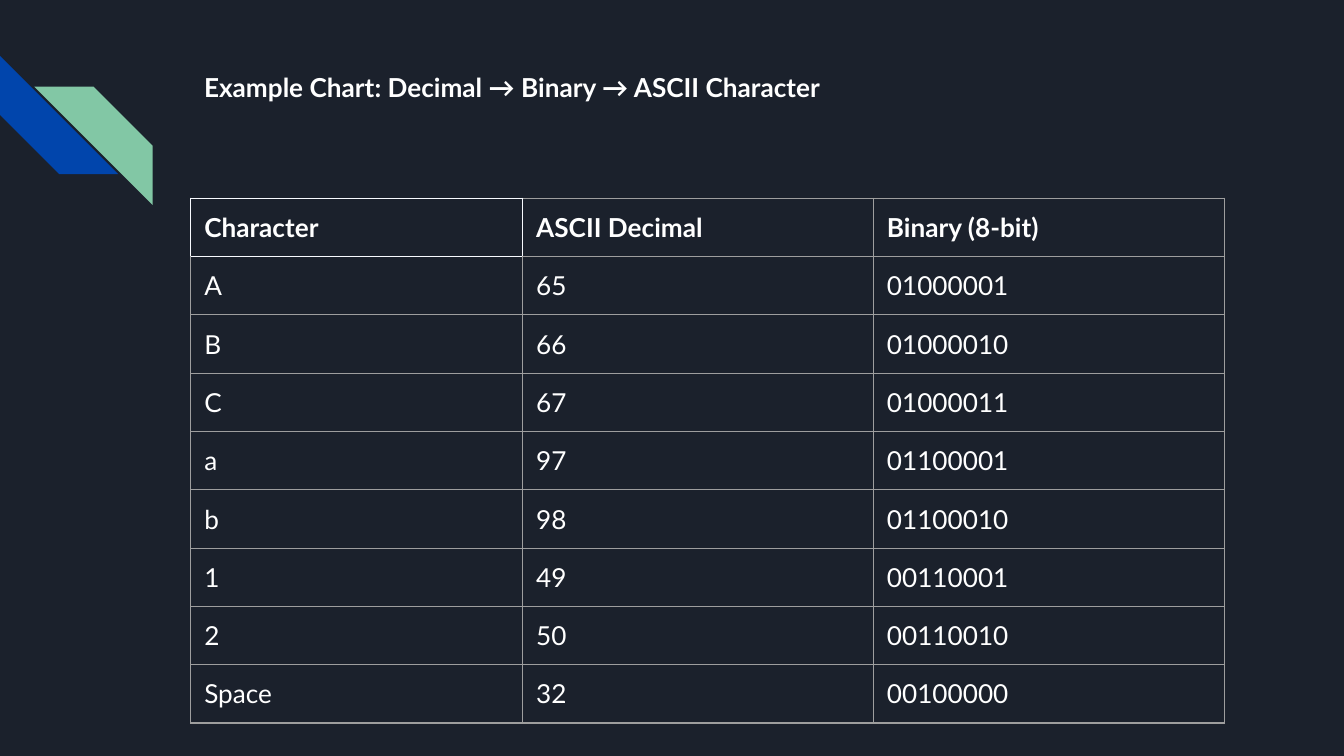
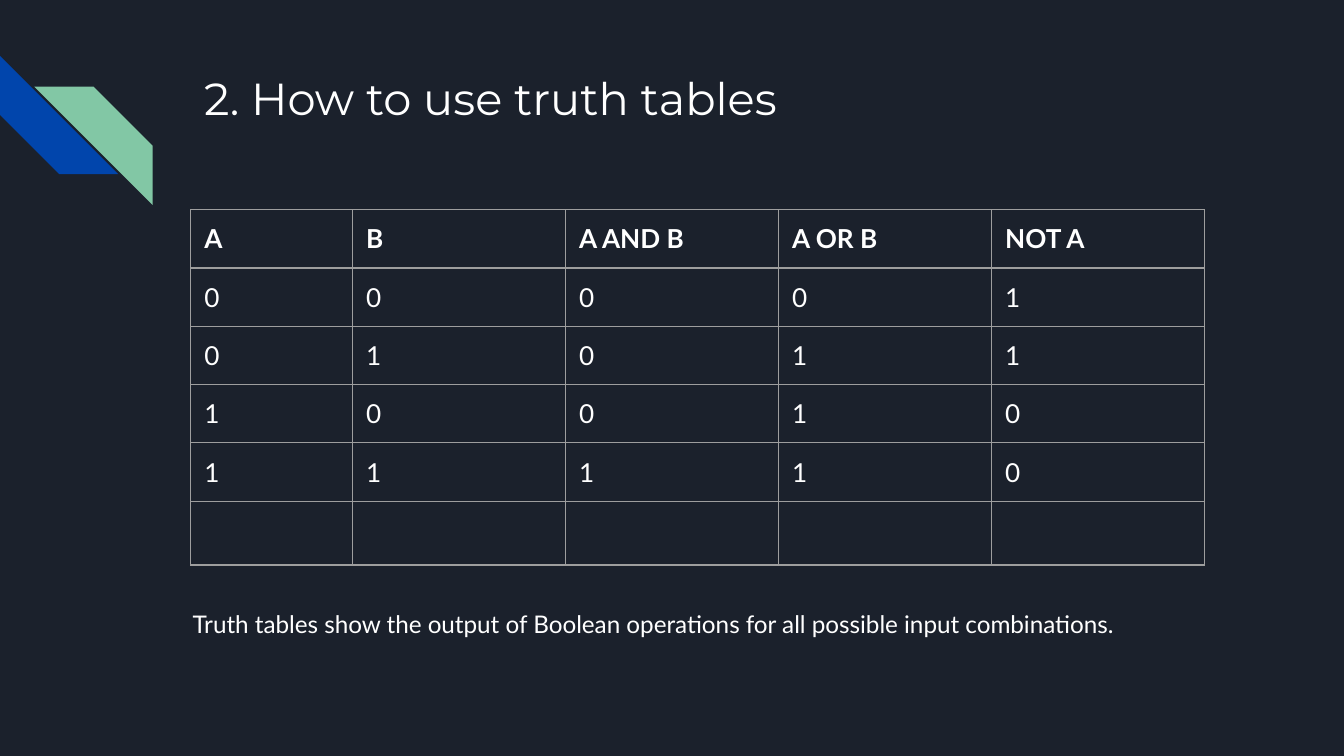
from dataclasses import dataclass

from lxml import etree
from pptx import Presentation
from pptx.dml.color import RGBColor
from pptx.enum.shapes import MSO_SHAPE
from pptx.enum.text import MSO_ANCHOR
from pptx.oxml.ns import qn
from pptx.slide import Slide
from pptx.table import Table, _Cell
from pptx.text.text import TextFrame
from pptx.util import Emu, Pt

STRIPE = MSO_SHAPE.DIAGONAL_STRIPE
TOP = MSO_ANCHOR.TOP

PX = 4572  # 200 px to the inch
SLIDE_WIDTH, SLIDE_HEIGHT = 2000, 1125
CONTENT_LEFT = 284
TITLE_TOP, TITLE_WIDTH = 86, 1540
STRIPE_SIZE = 176
INSET = 20
ROW_HEIGHT = 84
BORDER_WIDTH = Pt(0.75)

NAVY = RGBColor(0x1B, 0x21, 0x2C)
BLUE = RGBColor(0x01, 0x45, 0xAC)
GREEN = RGBColor(0x82, 0xC7, 0xA5)
WHITE = RGBColor(0xFF, 0xFF, 0xFF)
GREY = RGBColor(0x9E, 0x9E, 0x9E)
PALE = RGBColor(0xF8, 0xFA, 0xFF)

BODY = {"name": "Lato", "size": Pt(14), "bold": False}
STRONG = {**BODY, "bold": True}
CAPTION = {**BODY, "size": Pt(13)}
HEADING = {"name": "Montserrat", "size": Pt(24), "bold": False}


@dataclass(frozen=True)
class Box:
    left: int
    top: int
    width: int
    height: int

    def emu(self) -> tuple[Emu, ...]:
        return tuple(px(n) for n in (self.left, self.top, self.width, self.height))


@dataclass(frozen=True)
class Stripe:
    left: int
    top: int
    rotation: int
    colour: RGBColor


@dataclass(frozen=True)
class Label:
    text: str
    box: Box
    style: dict


@dataclass(frozen=True)
class Grid:
    top: int
    columns: list[int]
    rows: list[list[str]]
    blank_row_height: int = ROW_HEIGHT
    pale_first_cell: bool = False


STRIPES = [Stripe(0, 83, 270, BLUE), Stripe(51, 129, 90, GREEN)]

CHARACTER_CODES = [("A", 65), ("B", 66), ("C", 67), ("a", 97), ("b", 98),
                   ("1", 49), ("2", 50), ("Space", 32)]
ASCII_GRID = Grid(
    top=295,
    columns=[494, 522, 522],
    rows=[["Character", "ASCII Decimal", "Binary (8-bit)"]]
    + [[name, str(code), f"{code:08b}"] for name, code in CHARACTER_CODES],
    pale_first_cell=True,
)
TRUTH_GRID = Grid(
    top=312,
    columns=[241] + [317] * 4,
    rows=[["A", "B", "A AND B", "A OR B", "NOT A"]]
    + [[str(n) for n in (a, b, a & b, a | b, 1 - a)] for a in (0, 1) for b in (0, 1)]
    + [[""] * 5],
    blank_row_height=95,
)


def px(length: int) -> Emu:
    return Emu(length * PX)


def write(frame: TextFrame, text: str, style: dict) -> None:
    run = frame.paragraphs[0].add_run()
    run.text = text
    for name, value in style.items():
        setattr(run.font, name, value)
    run.font.color.rgb = WHITE


def set_margins(holder: TextFrame | _Cell) -> None:
    for side in ("left", "top", "right", "bottom"):
        setattr(holder, f"margin_{side}", px(INSET))


def draw_label(slide: Slide, label: Label) -> None:
    frame = slide.shapes.add_textbox(*label.box.emu()).text_frame
    frame.word_wrap = True
    frame.vertical_anchor = TOP
    set_margins(frame)
    write(frame, label.text, label.style)


def draw_stripe(slide: Slide, stripe: Stripe) -> None:
    box = Box(stripe.left, stripe.top, STRIPE_SIZE, STRIPE_SIZE)
    shape = slide.shapes.add_shape(STRIPE, *box.emu())
    shape.adjustments[0] = 0.5
    shape.rotation = stripe.rotation
    shape.shadow.inherit = False
    shape.fill.solid()
    shape.fill.fore_color.rgb = stripe.colour
    shape.line.fill.background()


def set_borders(cell: _Cell, pale_sides: str) -> None:
    """Line all four sides; those named in pale_sides (of LRTB) are pale."""
    properties = cell._tc.get_or_add_tcPr()
    for side in "LRTB":
        line = etree.SubElement(properties, qn(f"a:ln{side}"), w=str(BORDER_WIDTH))
        fill = etree.SubElement(line, qn("a:solidFill"))
        colour = PALE if side in pale_sides else GREY
        etree.SubElement(fill, qn("a:srgbClr"), val=str(colour))


def fill_cells(table: Table, grid: Grid) -> None:
    pale = {(0, 0): "LRTB", (0, 1): "L", (1, 0): "T"} if grid.pale_first_cell else {}
    for row, texts in enumerate(grid.rows):
        for column, text in enumerate(texts):
            cell = table.cell(row, column)
            set_borders(cell, pale.get((row, column), ""))
            cell.fill.background()
            if text:
                set_margins(cell)
                write(cell.text_frame, text, BODY if row else STRONG)


def draw_grid(slide: Slide, grid: Grid) -> None:
    heights = [ROW_HEIGHT if any(row) else grid.blank_row_height for row in grid.rows]
    box = Box(CONTENT_LEFT, grid.top, sum(grid.columns), sum(heights))
    table = slide.shapes.add_table(len(heights), len(grid.columns), *box.emu()).table
    table.first_row = table.horz_banding = False
    for column, width in zip(table.columns, grid.columns):
        column.width = px(width)
    for row, height in zip(table.rows, heights):
        row.height = px(height)
    fill_cells(table, grid)


def add_slide(presentation: Presentation, title: str, title_height: int,
              title_style: dict, grid: Grid) -> Slide:
    slide = presentation.slides.add_slide(presentation.slide_layouts[6])
    slide.background.fill.solid()
    slide.background.fill.fore_color.rgb = NAVY
    for stripe in STRIPES:
        draw_stripe(slide, stripe)
    title_box = Box(CONTENT_LEFT, TITLE_TOP, TITLE_WIDTH, title_height)
    draw_label(slide, Label(title, title_box, title_style))
    draw_grid(slide, grid)
    return slide


def main() -> None:
    presentation = Presentation()
    presentation.slide_width = px(SLIDE_WIDTH)
    presentation.slide_height = px(SLIDE_HEIGHT)
    add_slide(presentation, "Example Chart: Decimal → Binary → ASCII Character",
              114, STRONG, ASCII_GRID)
    truth_slide = add_slide(presentation, "2. How to use truth tables",
                            200, HEADING, TRUTH_GRID)
    draw_label(truth_slide, Label(
        "Truth tables show the output of Boolean operations "
        "for all possible input combinations.",
        Box(267, 886, 1508, 68), CAPTION))
    presentation.save("out.pptx")


if __name__ == "__main__":
    main()
